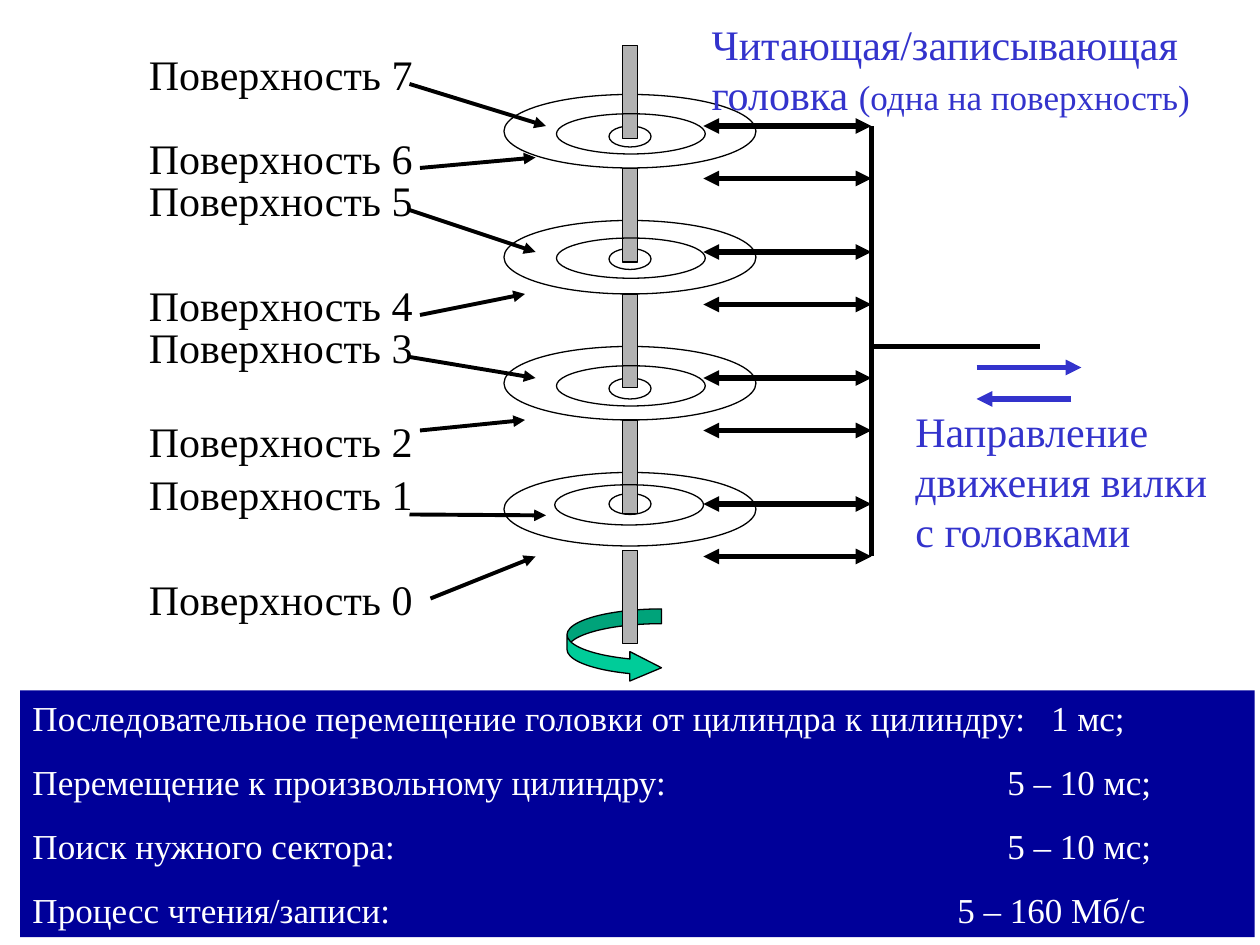
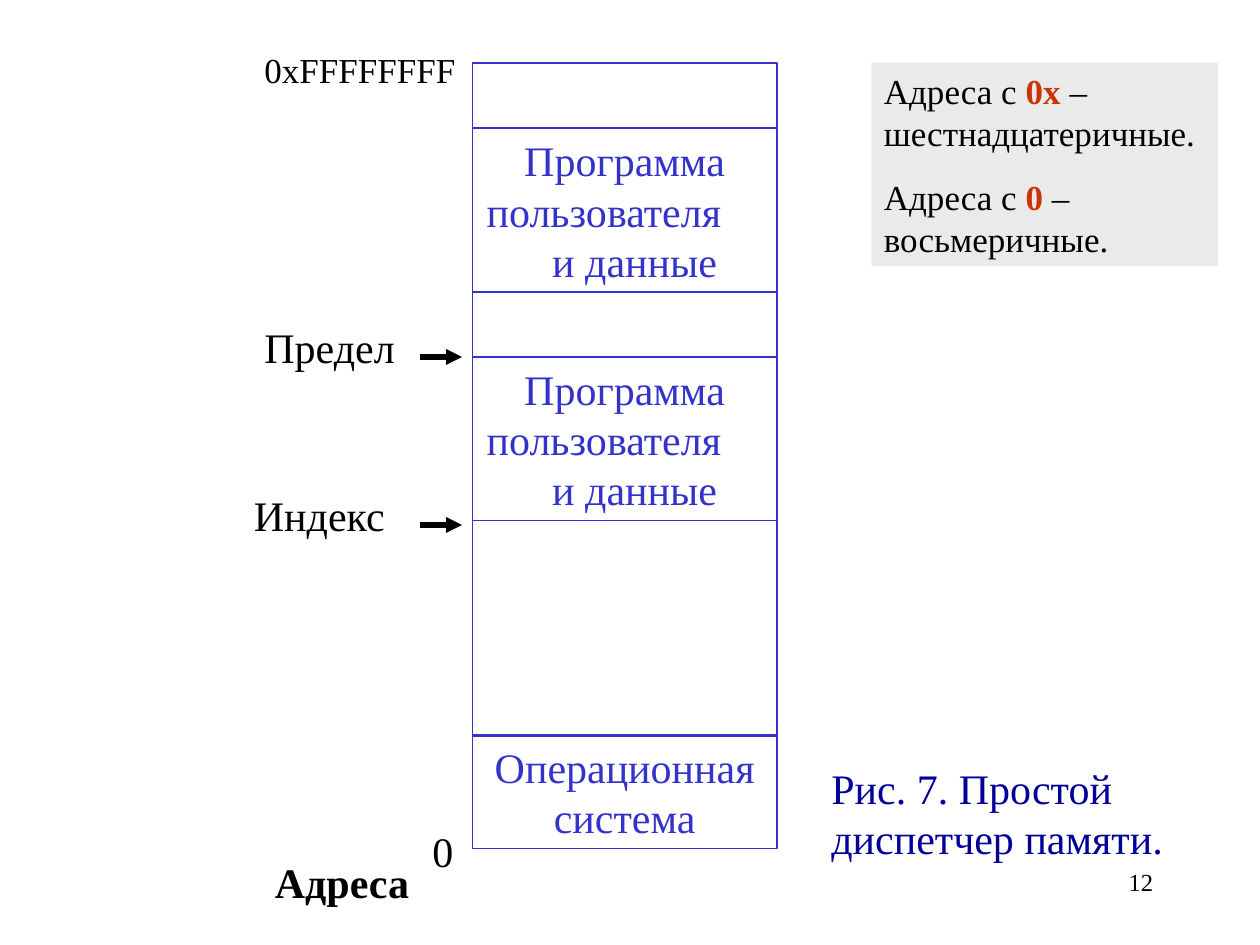
from lxml import etree
from pptx import Presentation
from pptx.dml.color import RGBColor
from pptx.enum.shapes import MSO_CONNECTOR, MSO_SHAPE
from pptx.enum.text import MSO_ANCHOR, PP_ALIGN
from pptx.oxml.ns import qn
from pptx.util import Pt

RECTANGLE, ELLIPSE = MSO_SHAPE.RECTANGLE, MSO_SHAPE.OVAL
TURN_ARROW = MSO_SHAPE.CURVED_RIGHT_ARROW
STRAIGHT = MSO_CONNECTOR.STRAIGHT
TOP = MSO_ANCHOR.TOP
LEFT, CENTER, RIGHT = PP_ALIGN.LEFT, PP_ALIGN.CENTER, PP_ALIGN.RIGHT

FONT = "Times New Roman"
BLACK, WHITE, BLUE, NAVY = "000000", "FFFFFF", "3333CC", "000099"
GRAY, PALE, RED, GREEN = "B2B2B2", "EAEAEA", "CC3300", "00CC99"


def color(hex_code):
    return RGBColor.from_string(hex_code)


def write_text(shape, *paragraphs, size=24, ink=BLACK, bold=False, align=LEFT,
               before=15, indents=(), tabs=()):
    """Write paragraphs; each is a string or a list of (string, format) runs."""
    frame = shape.text_frame
    frame.word_wrap = True
    frame.vertical_anchor = TOP
    for index, content in enumerate(paragraphs):
        paragraph = frame.paragraphs[0] if index == 0 else frame.add_paragraph()
        paragraph.alignment = align
        paragraph.space_before = Pt(before)
        properties = paragraph._p.get_or_add_pPr()
        if indents:
            properties.set("marL", str(Pt(indents[index])))
        if tabs:
            stops = etree.SubElement(properties, qn("a:tabLst"))
            etree.SubElement(stops, qn("a:tab"), pos=str(Pt(tabs[index])), algn="l")
        runs = [(content, {})] if isinstance(content, str) else content
        for words, changes in runs:
            run = paragraph.add_run()
            run.text = words
            run.font.name = FONT
            run.font.size = Pt(changes.get("size", size))
            run.font.bold = changes.get("bold", bold)
            run.font.color.rgb = color(changes.get("ink", ink))


def add_label(slide, x, y, width, height, *paragraphs, **text_format):
    label = slide.shapes.add_textbox(Pt(x), Pt(y), Pt(width), Pt(height))
    write_text(label, *paragraphs, **text_format)


def add_figure(slide, kind, x, y, width, height, fill=None, outline=BLACK):
    figure = slide.shapes.add_shape(kind, Pt(x), Pt(y), Pt(width), Pt(height))
    figure.shadow.inherit = False
    if fill:
        figure.fill.solid()
        figure.fill.fore_color.rgb = color(fill)
    else:
        figure.fill.background()
    if outline:
        figure.line.color.rgb = color(outline)
        figure.line.width = Pt(0.75)
    else:
        figure.line.fill.background()
    return figure


def add_line(slide, start, end, weight=3, ink=BLACK, arrows=()):
    """Draw a line; arrows may hold "headEnd" (start) and "tailEnd" (end)."""
    points = [Pt(value) for value in (*start, *end)]
    line = slide.shapes.add_connector(STRAIGHT, *points)
    line.line.color.rgb = color(ink)
    line.line.width = Pt(weight)
    for arrow in arrows:
        etree.SubElement(line.line._get_or_add_ln(), qn(f"a:{arrow}"), type="triangle")
    etree.SubElement(line._element.spPr, qn("a:effectLst"))


def add_spindle(slide):
    rotation = add_figure(slide, TURN_ARROW, 324, 348, 54, 42, fill=GREEN)
    for index, value in enumerate((0.2, 0.4, 0.43)):
        rotation.adjustments[index] = value
    for platter in range(4):
        add_figure(slide, ELLIPSE, 288, 54 + 72 * platter, 144, 42)
    for hub_y in (72, 142, 216, 282):
        add_figure(slide, ELLIPSE, 348, hub_y, 24, 12)
    for shaft_y in (26, 96.5, 168, 240, 314.5):
        add_figure(slide, RECTANGLE, 355.7, shaft_y, 8.6, 53.3, fill=GRAY)


def add_tracks(slide):
    for x, y in ((317, 277), (318, 209), (318, 136), (318, 65)):
        add_figure(slide, ELLIPSE, x, y, 85, 23)


def add_surfaces(slide):
    # label top, then the start and the end of its pointer, from surface 0 up
    surfaces = (
        (324, (246, 342), (306, 318)),
        (264, (234, 294), (312, 294.5)),
        (234, (240, 246), (300, 240)),
        (180, (234, 204), (306, 216)),
        (156, (240, 180), (300, 168)),
        (96, (234, 120), (306, 144)),
        (72, (240, 96), (306, 90)),
        (24, (234, 48), (312, 72)),
    )
    for number, (label_y, start, end) in enumerate(surfaces):
        add_label(slide, 78, label_y, 174, 36, f"Поверхность {number}")
        add_line(slide, start, end, weight=2.25, arrows=["tailEnd"])


def add_head_fork(slide):
    fork_x = 498
    add_line(slide, (fork_x, 72), (fork_x, 318))
    for platter in range(4):
        for offset in (72, 102):
            y = offset + 72 * platter
            add_line(slide, (fork_x, y), (402, y), arrows=["headEnd", "tailEnd"])
    add_line(slide, (fork_x, 198), (594, 198))
    add_line(slide, (558, 210), (618, 210), ink=BLUE, arrows=["tailEnd"])
    add_line(slide, (612, 228), (558, 228), ink=BLUE, arrows=["tailEnd"])
    add_label(slide, 516, 228, 184, 94, "Направление движения вилки с головками",
              ink=BLUE)
    add_label(slide, 399.5, 7, 314, 65,
              [("Читающая/записывающая головка ", {}),
               ("(одна на поверхность)", {"size": 20})],
              ink=BLUE, before=12.5)


def build_disk_slide(slide):
    add_spindle(slide)
    add_surfaces(slide)
    add_head_fork(slide)
    timings = add_figure(slide, RECTANGLE, 11.5, 394.5, 705.5, 141,
                         fill=NAVY, outline=None)
    write_text(timings,
               "Последовательное перемещение головки от цилиндра к цилиндру:\t1 мс;",
               "Перемещение к произвольному цилиндру:\t5 – 10 мс;",
               "Поиск нужного сектора:\t5 – 10 мс;",
               "Процесс чтения/записи:\t5 – 160 Мб/с",
               size=20, ink=WHITE, before=12.5, tabs=(582, 557, 557, 528.5))
    add_tracks(slide)


def add_memory_map(slide):
    program = ("Программа", "пользователя", "и данные")
    program_format = {"before": 0, "indents": (22.5, 1, 38.5)}
    # top, height, text and its format, from the low addresses up
    regions = (
        (420, 65, ("Операционная система",), {"align": CENTER}),
        (297.5, 123.5, (), {}),
        (204, 93.5, program, program_format),
        (167, 37, (), {}),
        (73.5, 93.5, program, program_format),
        (36, 37, (), {}),
    )
    for y, height, words, text_format in regions:
        region = add_figure(slide, RECTANGLE, 270, y, 174, height, outline=BLUE)
        if words:
            write_text(region, *words, ink=BLUE, **text_format)


def build_memory_slide(slide):
    add_label(slide, 516, 492, 150, 36, "12", size=14, align=RIGHT, before=0)
    add_memory_map(slide)
    add_label(slide, 240, 468, 66, 36, "0")
    for name, x, y, pointer_y in (("Индекс", 138, 276, 300), ("Предел", 144, 180, 204)):
        add_label(slide, x, y, 110, 36, name)
        add_line(slide, (240, pointer_y), (264, pointer_y), arrows=["tailEnd"])
    add_label(slide, 144, 24, 168, 31.5, "0xFFFFFFFF", size=20)
    add_label(slide, 150, 486, 150, 36, "Адреса", bold=True)
    add_label(slide, 468, 432, 228, 65, "Рис. 7. Простой диспетчер памяти.", ink=NAVY)

    notation = add_figure(slide, RECTANGLE, 498, 36, 198, 116, fill=PALE, outline=None)
    prefix_format = {"ink": RED, "bold": True}
    write_text(notation,
               *([("Адреса с ", {}), (prefix, prefix_format), (f" – {base}.", {})]
                 for prefix, base in (("0х", "шестнадцатеричные"), ("0", "восьмеричные"))),
               size=20, before=12.5)


def main():
    deck = Presentation()
    deck.slide_width, deck.slide_height = Pt(720), Pt(540)
    blank = deck.slide_layouts[6]
    for build in (build_disk_slide, build_memory_slide):
        build(deck.slides.add_slide(blank))
    deck.save("out.pptx")


if __name__ == "__main__":
    main()
